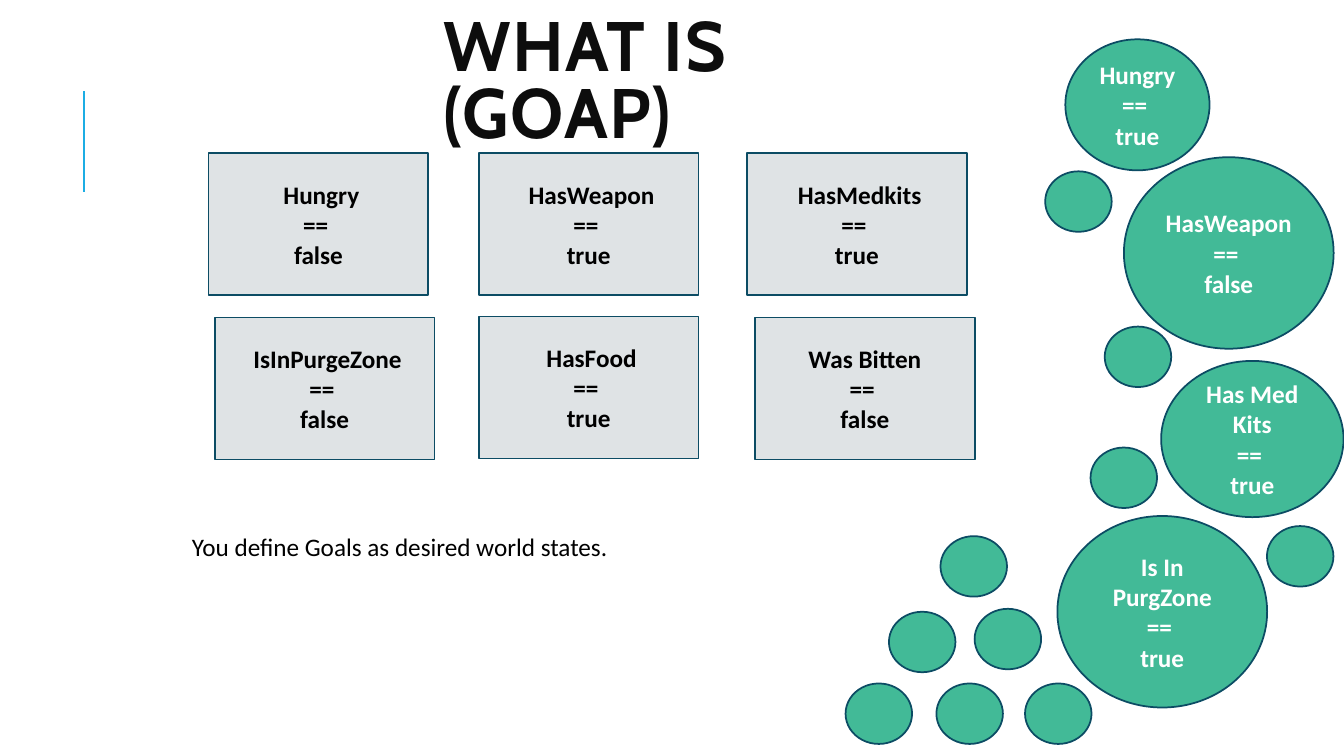
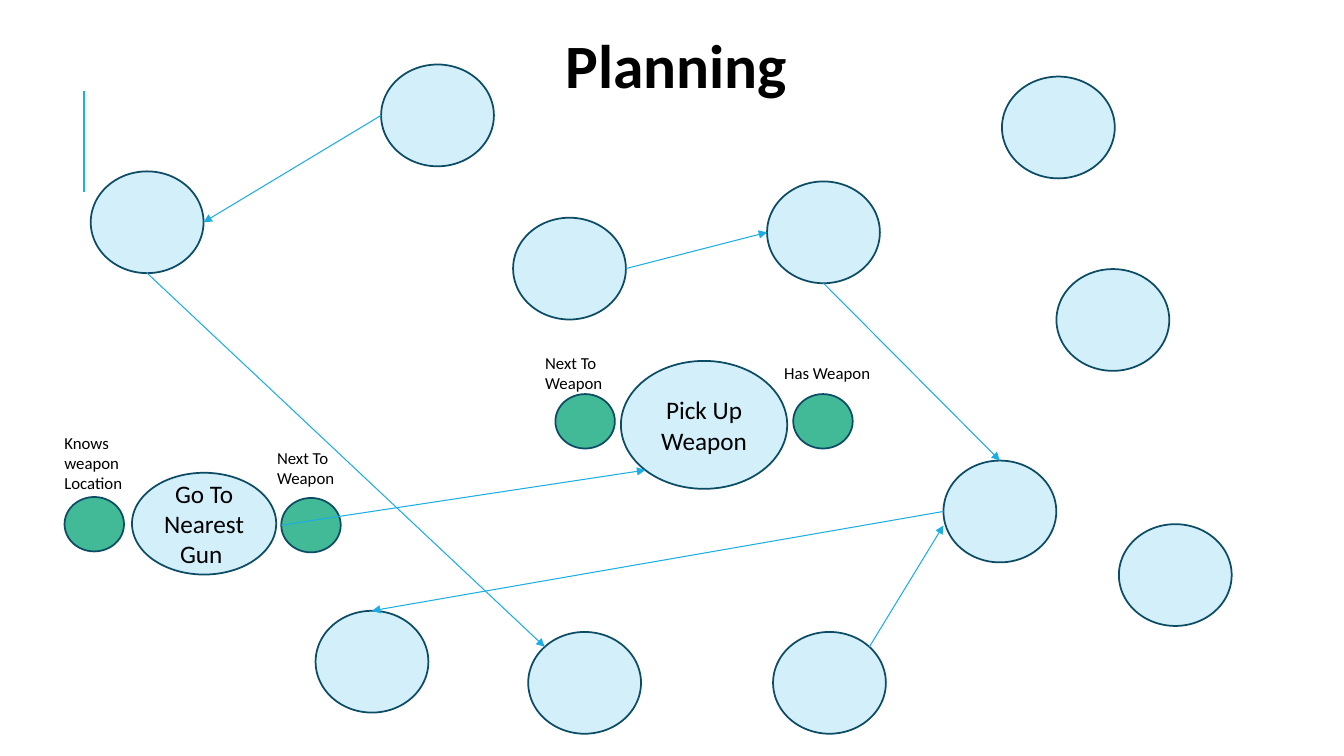
from dataclasses import dataclass
from math import cos, pi, sin

from lxml import etree
from pptx import Presentation
from pptx.dml.color import RGBColor
from pptx.enum.shapes import MSO_CONNECTOR, MSO_SHAPE
from pptx.enum.text import MSO_ANCHOR, PP_ALIGN
from pptx.oxml.ns import qn
from pptx.shapes.autoshape import Shape
from pptx.shapes.connector import Connector
from pptx.slide import Slide
from pptx.util import Pt

RECT, OVAL = MSO_SHAPE.RECTANGLE, MSO_SHAPE.OVAL
LINE = MSO_CONNECTOR.STRAIGHT
TOP, MID = MSO_ANCHOR.TOP, MSO_ANCHOR.MIDDLE
LEFT, MIDST = PP_ALIGN.LEFT, PP_ALIGN.CENTER

# Theme
BODY, HEAD = "Calibri", "Cabin"
BLACK, INK, WHITE = "000000", "0D0D0D", "FFFFFF"
GREY, GREEN, PALE = "DFE3E5", "42BA97", "D2EFFA"
EDGE, BLUE = "0C4C64", "1CADE4"

# Sites round an oval, numbered counterclockwise from the top
NORTH, NW, WEST, SW, SOUTH, SE, EAST, NE = range(8)


@dataclass(frozen=True)
class Box:
    x: float
    y: float
    w: float
    h: float

    def site(self, num: int) -> tuple[float, float]:
        turn = num * pi / 4
        return (self.x + self.w / 2 * (1 - sin(turn)),
                self.y + self.h / 2 * (1 - cos(turn)))


@dataclass(frozen=True)
class Font:
    size: float
    tint: str = BLACK
    bold: bool = False
    face: str = BODY


@dataclass(frozen=True)
class Node:
    box: Box
    text: str = ""


@dataclass(frozen=True)
class Link:
    start: str
    exit: int
    end: str
    entry: int
    drop: float = 0  # distance of the arrow tip below its site


PLAIN, BOLD = Font(18), Font(18, bold=True)
LIGHT, SMALL = Font(18, WHITE, True), Font(12)


def paint(code: str) -> RGBColor:
    return RGBColor.from_string(code)


def write(shape: Shape, text: str, font: Font,
          align: PP_ALIGN = LEFT, anchor: MSO_ANCHOR = TOP) -> None:
    frame = shape.text_frame
    frame.word_wrap = True
    frame.vertical_anchor = anchor
    frame.text = text
    for para in frame.paragraphs:
        para.alignment = align
        for run in para.runs:
            run.font.size = Pt(font.size)
            run.font.name = font.face
            run.font.bold = font.bold
            run.font.color.rgb = paint(font.tint)


def label(slide: Slide, node: Node, font: Font, anchor: MSO_ANCHOR = TOP) -> Shape:
    box = node.box
    shape = slide.shapes.add_textbox(Pt(box.x), Pt(box.y), Pt(box.w), Pt(box.h))
    write(shape, node.text, font, anchor=anchor)
    return shape


def draw(slide: Slide, kind: MSO_SHAPE, node: Node, fill: str,
         font: Font = PLAIN) -> Shape:
    box = node.box
    shape = slide.shapes.add_shape(kind, Pt(box.x), Pt(box.y), Pt(box.w), Pt(box.h))
    shape.shadow.inherit = False
    shape.fill.solid()
    shape.fill.fore_color.rgb = paint(fill)
    shape.line.color.rgb = paint(EDGE)
    shape.line.width = Pt(1.25)
    if node.text:
        write(shape, node.text, font, MIDST, MID)
    return shape


def rule(slide: Slide, start: tuple[float, float], end: tuple[float, float],
         width: float) -> Connector:
    line = slide.shapes.add_connector(LINE, *(Pt(n) for n in (*start, *end)))
    line.line.color.rgb = paint(BLUE)
    line.line.width = Pt(width)
    etree.SubElement(line._element.spPr, qn("a:effectLst"))
    return line


def join(slide: Slide, link: Link, nodes: dict[str, Node],
         shapes: dict[str, Shape]) -> None:
    x, y = nodes[link.end].box.site(link.entry)
    start = nodes[link.start].box.site(link.exit)
    line = rule(slide, start, (x, y + link.drop), 0.75)
    etree.SubElement(line.line._get_or_add_ln(), qn("a:tailEnd"), type="triangle")
    # Glue the ends that sit on a site
    ends = [("a:stCxn", link.start, link.exit)]
    if not link.drop:
        ends.append(("a:endCxn", link.end, link.entry))
    for tag, name, num in ends:
        etree.SubElement(line._element.nvCxnSpPr.cNvCxnSpPr, qn(tag),
                         id=str(shapes[name].shape_id), idx=str(num))


def start(deck: Presentation) -> Slide:
    slide = deck.slides.add_slide(deck.slide_layouts[6])
    rule(slide, (60, 136.8), (60, 64.8), 1.5)
    return slide


# World states and goals
STATES = [
    (149, 109.4, " Hungry", "false"),
    (342, 109.4, " HasWeapon", "true"),
    (533.5, 109.4, " HasMedkits", "true"),
    (153.4, 226.8, " IsInPurgeZone", "false"),
    (342, 226.1, " HasFood", "true"),
    (539.3, 226.8, "Was Bitten", "false"),
]
GOALS = [
    (Box(761, 28.1, 103, 93.6), "Hungry", "true"),
    (Box(802.8, 112.3, 149.8, 136.8), "HasWeapon", "false"),
    (Box(829.4, 257.8, 130.3, 111.6), "Has Med Kits", "true"),
    (Box(755.3, 368.6, 149.8, 136.8), "Is In PurgZone", "true"),
]
DOTS = [
    (604, 488.2), (668.9, 488.2), (905, 375.8), (635, 437), (696.2, 434.9),
    (671.8, 383), (732.2, 488.2), (779, 319.7), (789.1, 233.3), (746.6, 122.4),
]


def test(name: str, value: str) -> str:
    return f"{name}\n== \n{value}"


def intro(deck: Presentation) -> None:
    slide = start(deck)
    title = label(slide, Node(Box(309.6, 8.6, 310.3, 104.4), "WHAT IS (GOAP)"),
                  Font(50, INK, True, HEAD), MID)
    para = title.text_frame.paragraphs[0]
    para.line_spacing = 0.8
    para.runs[0].font._element.set("spc", "100")
    label(slide, Node(Box(126, 375.8, 323.3, 28.8),
                      " You define Goals as desired world states."), PLAIN)
    for x, y, name, value in STATES:
        draw(slide, RECT, Node(Box(x, y, 157, 101.5), test(name, value)), GREY, BOLD)
    for box, name, value in GOALS:
        draw(slide, OVAL, Node(box, test(name, value)), GREEN, LIGHT)
    for x, y in DOTS:
        draw(slide, OVAL, Node(Box(x, y, 47.5, 43.2)), GREEN)


# Actions, their facts and the links between them
SPOTS = {
    "centre": (366.5, 155.5), "base": (225.4, 436.3), "crown": (272.2, 46.1),
    "upper": (547.9, 129.6), "hub": (673.9, 329), "lower": (377.3, 451.4),
    "foot": (552.2, 451.4), "right": (754.6, 192.2), "left": (64.8, 122.4),
    "edge": (799.2, 374.4), "corner": (715.7, 54.7),
}
ACTS = {name: Node(Box(x, y, 80.6, 72.7)) for name, (x, y) in SPOTS.items()} | {
    "pick": Node(Box(443.5, 257.8, 118.8, 91.4), "Pick Up Weapon"),
    "go": Node(Box(94.3, 337.7, 103, 72.7), "Go To Nearest Gun "),
}
FACTS = {
    name: Node(Box(x, y, 42.5, 38.9)) for name, x, y in [
        ("known", 46.1, 355), ("near", 200.9, 355.7),
        ("close", 396.7, 281.5), ("armed", 566.6, 281.5)]
}
NOTES = [
    Node(Box(38.9, 305.3, 80.6, 51.1), "Knows weapon Location"),
    Node(Box(190.8, 316.1, 80.6, 36), "Next To Weapon"),
    Node(Box(382.3, 248.4, 80.6, 36), "Next To Weapon"),
    Node(Box(553, 255.6, 80.6, 21.6), "Has Weapon"),
]
LINKS = [
    Link("near", WEST, "pick", SW),
    Link("left", SOUTH, "lower", NW),
    Link("hub", WEST, "base", NORTH),
    Link("foot", NE, "hub", WEST, 10),
    Link("crown", WEST, "left", EAST),
    Link("upper", SOUTH, "hub", NORTH),
    Link("centre", EAST, "upper", WEST),
]


def plan(deck: Presentation) -> None:
    slide = start(deck)
    label(slide, Node(Box(396.7, 15.8, 260.6, 60.5), "Planning"), Font(44, bold=True))
    shapes = {}
    for group, fill in ((ACTS, PALE), (FACTS, GREEN)):
        for name, node in group.items():
            shapes[name] = draw(slide, OVAL, node, fill)
    for note in NOTES:
        label(slide, note, SMALL)
    for link in LINKS:
        join(slide, link, ACTS | FACTS, shapes)


def main() -> None:
    deck = Presentation()
    deck.slide_width, deck.slide_height = Pt(960), Pt(540)
    intro(deck)
    plan(deck)
    deck.save("out.pptx")


if __name__ == "__main__":
    main()
